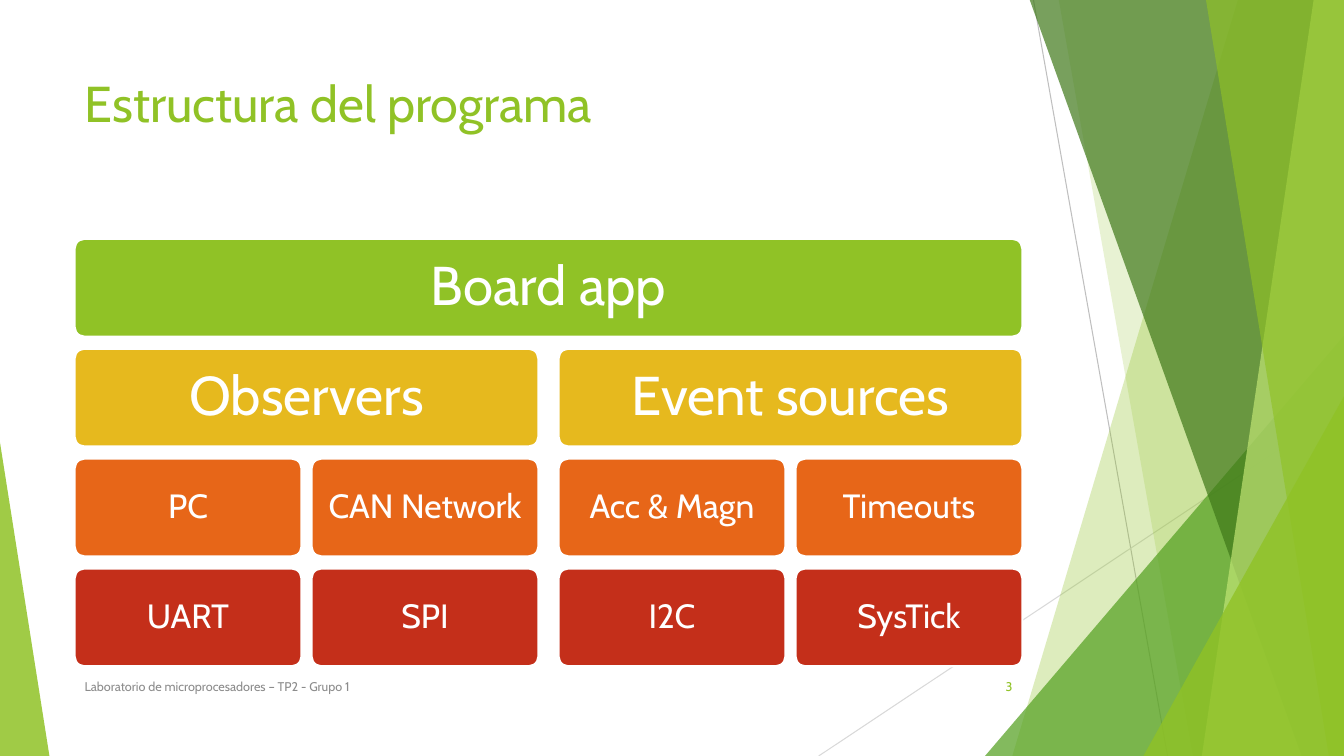
from dataclasses import dataclass

from lxml import etree
from pptx import Presentation
from pptx import util as u
from pptx.dml.color import RGBColor
from pptx.enum import shapes, text
from pptx.oxml import ns

PX = 9144  # EMU per px, 100 px to the inch
FONT = "Cabin"
GREEN, WHITE = "90C226", "FFFFFF"
SLIDE_W, SLIDE_H = 1333, 750


@dataclass
class Ray:
    start: tuple[int, int]
    end: tuple[int, int]
    color: str


@dataclass
class Facet:
    points: list[tuple[int, int]]
    color: str
    opacity: int


@dataclass
class Wedge:
    box: tuple[int, int, int, int]
    apex: float
    color: str
    opacity: int


@dataclass
class Block:
    label: str
    row: int
    column: int
    span: int = 1


@dataclass
class Label:
    words: str
    box: tuple[int, int, int, int]
    size: int
    color: str
    anchor: text.MSO_ANCHOR = text.MSO_ANCHOR.MIDDLE
    align: text.PP_ALIGN = text.PP_ALIGN.LEFT


@dataclass
class Level:
    color: str
    size: int
    inset: int


RAYS = [
    Ray((1025, 0), (1158, 750), "BFBFBF"),
    Ray((1333, 403), (812, 750), "D9D9D9"),
]

# Back to front
FACETS = [
    Facet([(1228, -1), (1333, -1), (1333, 750), (1004, 750)], GREEN, 30),
    Facet([(1050, -1), (1333, -1), (1333, 750), (1183, 750)], GREEN, 20),
    Wedge((977, 333, 356, 417), 1, "54A021", 72),
    Facet([(1021, -1), (1333, -1), (1333, 750), (1291, 750)], "3F7819", 70),
    Facet([(1303, -1), (1333, -1), (1333, 750), (1192, 750)], "C0E474", 70),
    Facet([(1196, -1), (1333, -1), (1333, 750), (1318, 750)], GREEN, 65),
    Wedge((1134, 393, 199, 357), 1, GREEN, 80),
    Wedge((0, 439, 49, 311), 0, GREEN, 85),
]

LEVELS = [
    Level(GREEN, 39, 16),
    Level("E6B91E", 39, 16),
    Level("E76618", 24, 10),
    Level("C42F1A", 24, 10),
]

BLOCKS = [
    Block("Board app", 0, 0, 4),
    Block("Observers", 1, 0, 2),
    Block("Event sources", 1, 2, 2),
    *(Block(name, 2, i) for i, name in enumerate(["PC", "CAN Network", "Acc & Magn", "Timeouts"])),
    *(Block(name, 3, i) for i, name in enumerate(["UART", "SPI", "I2C", "SysTick"])),
]

LABELS = [
    Label("Estructura del programa", (74, 67, 940, 144), 36, GREEN, text.MSO_ANCHOR.TOP),
    Label("Laboratorio de microprocesadores – TP2 - Grupo 1", (74, 661, 689, 40), 9, "8C8C8C"),
    Label("3", (939, 661, 75, 40), 9, GREEN, align=text.PP_ALIGN.RIGHT),
]


def px(*lengths: int) -> list[int]:
    return [length * PX for length in lengths]


def rgb(color: str) -> RGBColor:
    return RGBColor.from_string(color)


def paint(shape, color: str, opacity: int = 100) -> None:
    shape.shadow.inherit = False
    shape.fill.solid()
    shape.fill.fore_color.rgb = rgb(color)
    shape.line.fill.background()
    if opacity < 100:
        tint = shape.fill._xPr.find(".//" + ns.qn("a:srgbClr"))
        etree.SubElement(tint, ns.qn("a:alpha"), val=str(opacity * 1000))


def write(paragraph, words: str, size: int, color: str, align: text.PP_ALIGN) -> None:
    paragraph.alignment = align
    run = paragraph.add_run()
    run.text = words
    run.font.name = FONT
    run.font.size = u.Pt(size)
    run.font.color.rgb = rgb(color)


def draw_ray(slide, ray: Ray) -> None:
    line = slide.shapes.add_connector(
        shapes.MSO_CONNECTOR.STRAIGHT, *px(*ray.start, *ray.end))
    line.line.color.rgb = rgb(ray.color)
    line.line.width = u.Pt(0.75)
    etree.SubElement(line._element.spPr, ns.qn("a:effectLst"))


def draw_facet(slide, facet: Facet | Wedge) -> None:
    if isinstance(facet, Wedge):
        shape = slide.shapes.add_shape(
            shapes.MSO_SHAPE.ISOSCELES_TRIANGLE, *px(*facet.box))
        shape.adjustments[0] = facet.apex
    else:
        outline = slide.shapes.build_freeform(*facet.points[0], scale=PX)
        outline.add_line_segments(facet.points[1:], close=True)
        shape = outline.convert_to_shape()
    paint(shape, facet.color, facet.opacity)


def draw_block(slide, block: Block) -> None:
    def left_of(column: int) -> int:
        return 74 + 235 * column + 10 * (column // 2)

    level = LEVELS[block.row]
    left = left_of(block.column)
    right = left_of(block.column + block.span - 1) + 225
    box = slide.shapes.add_shape(
        shapes.MSO_SHAPE.ROUNDED_RECTANGLE,
        *px(left, 237 + 109 * block.row, right - left, 97))
    box.adjustments[0] = 0.1
    paint(box, level.color)
    box.line.color.rgb = rgb(WHITE)
    box.line.width = u.Pt(1.5)

    frame = box.text_frame
    frame.word_wrap = True
    frame.vertical_anchor = text.MSO_ANCHOR.MIDDLE
    frame.margin_left = frame.margin_right = level.inset * PX
    frame.margin_top = frame.margin_bottom = level.inset * PX
    paragraph = frame.paragraphs[0]
    paragraph.line_spacing = 0.9
    write(paragraph, block.label, level.size, WHITE, text.PP_ALIGN.CENTER)


def draw_label(slide, label: Label) -> None:
    frame = slide.shapes.add_textbox(*px(*label.box)).text_frame
    frame.word_wrap = True
    frame.vertical_anchor = label.anchor
    write(frame.paragraphs[0], label.words, label.size, label.color, label.align)


def main() -> None:
    deck = Presentation()
    deck.slide_width, deck.slide_height = px(SLIDE_W, SLIDE_H)
    slide = deck.slides.add_slide(deck.slide_layouts[6])

    # Background facets
    for ray in RAYS:
        draw_ray(slide, ray)
    for facet in FACETS:
        draw_facet(slide, facet)

    # Program layers
    for block in BLOCKS:
        draw_block(slide, block)

    # Title, footer and page number
    for label in LABELS:
        draw_label(slide, label)

    deck.save("out.pptx")


if __name__ == "__main__":
    main()
